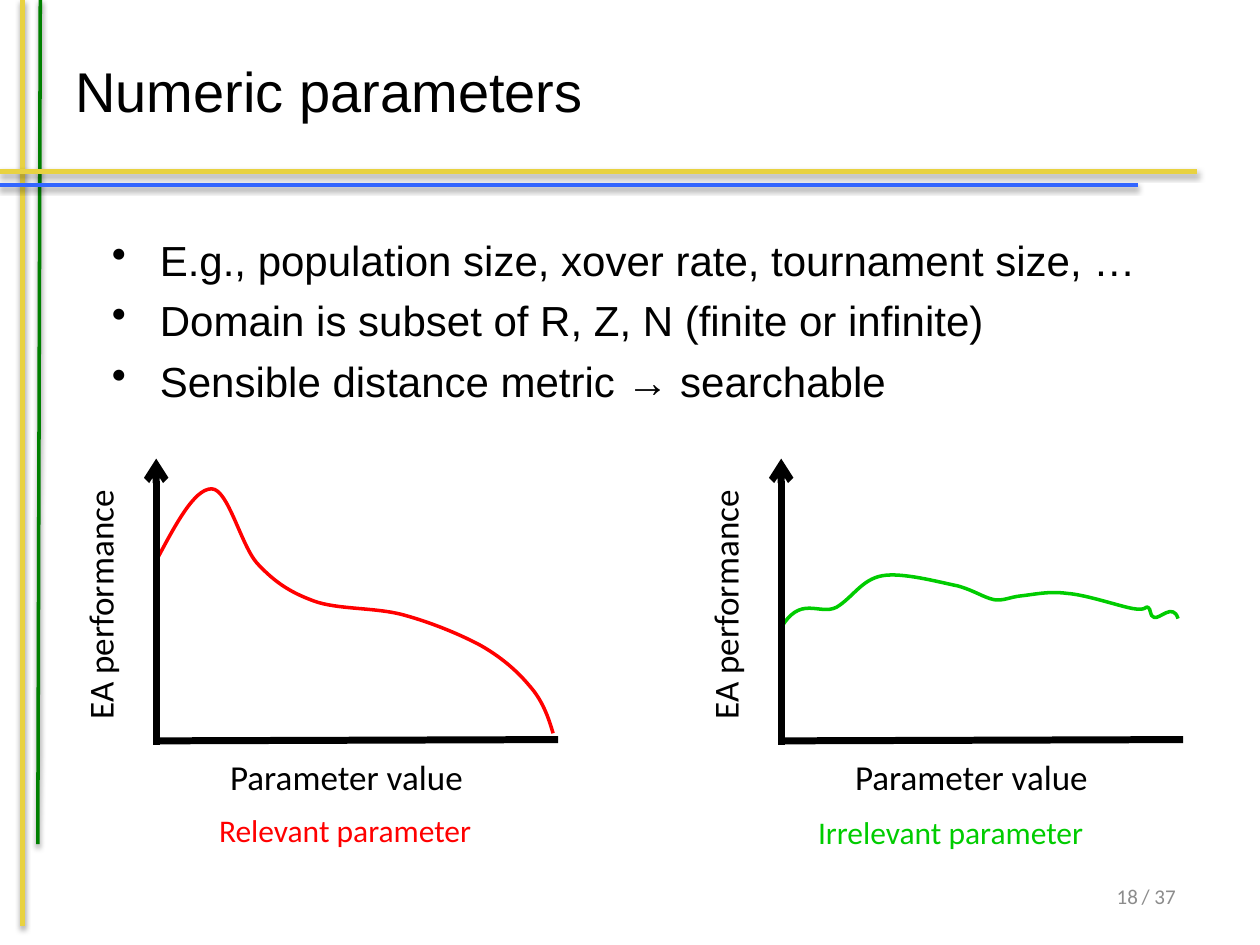
from lxml import etree
from pptx import Presentation
from pptx.dml.color import RGBColor
from pptx.enum.shapes import MSO_CONNECTOR as CONN
from pptx.enum.text import MSO_ANCHOR as ANCHOR, PP_ALIGN as ALIGN
from pptx.oxml.ns import qn
from pptx.util import Inches, Pt

COLORS = {
    "yellow": "E8D241", "dark_green": "008000", "blue": "3366FF",
    "black": "000000", "gray": "8C8C8C", "red": "FF0000", "green": "00CC00",
}
PLOT_GAP = 4.96  # distance between the two plots

# Bezier points in hundredths of an inch: start, then three per segment
RELEVANT = [
    (123, 447), (139, 417), (154, 388), (168, 388), (181, 388), (191, 432), (204, 447),
    (218, 462), (230, 470), (249, 477), (268, 484), (298, 482), (320, 488),
    (342, 494), (364, 503), (381, 512), (397, 521), (410, 532), (420, 544),
    (430, 555), (435, 568), (439, 582),
]
IRRELEVANT = [
    (619, 500), (635, 471), (650, 489), (664, 482), (677, 474), (684, 460), (700, 457),
    (716, 454), (745, 462), (760, 465), (774, 469), (780, 474), (789, 476),
    (797, 477), (801, 474), (810, 473), (820, 472), (832, 469), (847, 471),
    (862, 472), (888, 481), (899, 483), (910, 485), (909, 481), (911, 482),
    (914, 483), (912, 489), (916, 490), (920, 492), (931, 478), (935, 491),
]


def rgb(name):
    return RGBColor.from_string(COLORS[name])


def add_line(shapes, start, end, color, width, shadow=False, arrow=False):
    line = shapes.add_connector(CONN.STRAIGHT, *map(Inches, start + end))
    line.line.color.rgb = rgb(color)
    line.line.width = Pt(width)
    if arrow:
        etree.SubElement(line.line._get_or_add_ln(), qn("a:headEnd"), type="arrow")
    effects = etree.SubElement(line._element.spPr, qn("a:effectLst"))
    if shadow:
        outer = etree.SubElement(effects, qn("a:outerShdw"), blurRad=str(Pt(3.1)),
                                 dist=str(Pt(1.6)), dir="5400000", rotWithShape="0")
        black = etree.SubElement(outer, qn("a:srgbClr"), val=COLORS["black"])
        etree.SubElement(black, qn("a:alpha"), val="38000")


def add_text(shapes, box, lines, size, color="black", font="Calibri",
             align=ALIGN.CENTER, anchor=ANCHOR.TOP, wrap=False, rotation=0):
    tb = shapes.add_textbox(*map(Inches, box))
    tb.rotation = rotation
    tf = tb.text_frame
    tf.word_wrap = wrap
    tf.vertical_anchor = anchor
    tf.text = "\n".join(lines)
    for p in tf.paragraphs:
        p.alignment = align
        p.font.name = font
        p.font.size = Pt(size)
        p.font.color.rgb = rgb(color)
    return tf


def add_bullets(shapes, box, lines):
    tf = add_text(shapes, box, lines, 24, font="Arial", align=ALIGN.LEFT, wrap=True)
    for p in tf.paragraphs:
        p.space_before = Pt(5.8)
        pPr = p._p.get_or_add_pPr()
        pPr.set("marL", str(Inches(0.38)))
        pPr.set("indent", str(Inches(-0.38)))
        bullet = etree.Element(qn("a:buChar"), char="•")
        pPr.find(qn("a:defRPr")).addprevious(bullet)


def add_curve(shapes, points, color):
    builder = shapes.build_freeform(*points[0], scale=Inches(0.01))
    builder.add_line_segments(points[1:], close=False)
    curve = builder.convert_to_shape()
    curve.shadow.inherit = False
    curve.fill.background()
    curve.line.color.rgb = rgb(color)
    curve.line.width = Pt(2)
    # Merge each three line segments into one cubic Bezier segment
    outline = next(curve._element.iter(qn("a:path")))
    segments = outline.findall(qn("a:lnTo"))
    for i in range(0, len(segments), 3):
        bezier = etree.SubElement(outline, qn("a:cubicBezTo"))
        for segment in segments[i:i + 3]:
            bezier.append(segment[0])
            outline.remove(segment)


def add_plot(s, dx, points, color):
    shapes = s.shapes.add_group_shape().shapes
    add_curve(shapes, points, color)
    add_line(shapes, (1.24 + dx, 3.64), (1.24 + dx, 5.91), "black", 4, arrow=True)
    add_line(shapes, (4.43 + dx, 5.87), (1.22 + dx, 5.88), "black", 4)
    add_text(shapes, (1.62 + dx, 5.95, 2.26, 0.44), ["Parameter value"], 20)
    add_text(shapes, (-0.31 + dx, 4.58, 2.21, 0.44), ["EA performance"], 20, rotation=270)


def main():
    prs = Presentation()
    prs.slide_width, prs.slide_height = Inches(10), Inches(7.5)
    s = prs.slides.add_slide(prs.slide_layouts[6])

    # Decorative rules
    for start, end, color, width in [
        ((0.18, 0), (0.18, 7.35), "yellow", 3),
        ((0.32, 0), (0.3, 6.7), "dark_green", 2),
        ((0, 1.36), (9.5, 1.36), "yellow", 3),
        ((0, 1.47), (9.03, 1.47), "blue", 2),
    ]:
        add_line(s.shapes, start, end, color, width, shadow=True)

    # Title and bullets
    add_text(s.shapes, (0.5, 0.09, 9, 1.25), ["Numeric parameters"], 32, font="Arial",
             align=ALIGN.LEFT, anchor=ANCHOR.MIDDLE, wrap=True)
    add_bullets(s.shapes, (0.79, 1.81, 8.99, 4.5), [
        "E.g., population size, xover rate, tournament size, …",
        "Domain is subset of R, Z, N (finite or infinite)",
        "Sensible distance metric → searchable",
    ])

    # Plots and their captions
    add_plot(s, 0, RELEVANT, "red")
    add_plot(s, PLOT_GAP, IRRELEVANT, "green")
    add_text(s.shapes, (0.91, 6.39, 3.66, 0.57), ["Relevant parameter"], 18, "red")
    add_text(s.shapes, (5.67, 6.4, 3.75, 0.57), ["Irrelevant parameter"], 18, "green")

    # Page number
    for box, text in [((8.51, 6.84, 0.62, 0.55), "18"), ((8.43, 6.84, 1, 0.55), "/ 37")]:
        add_text(s.shapes, box, [text], 12, "gray", align=ALIGN.RIGHT,
                 anchor=ANCHOR.MIDDLE, wrap=True)

    prs.save("out.pptx")


if __name__ == "__main__":
    main()
